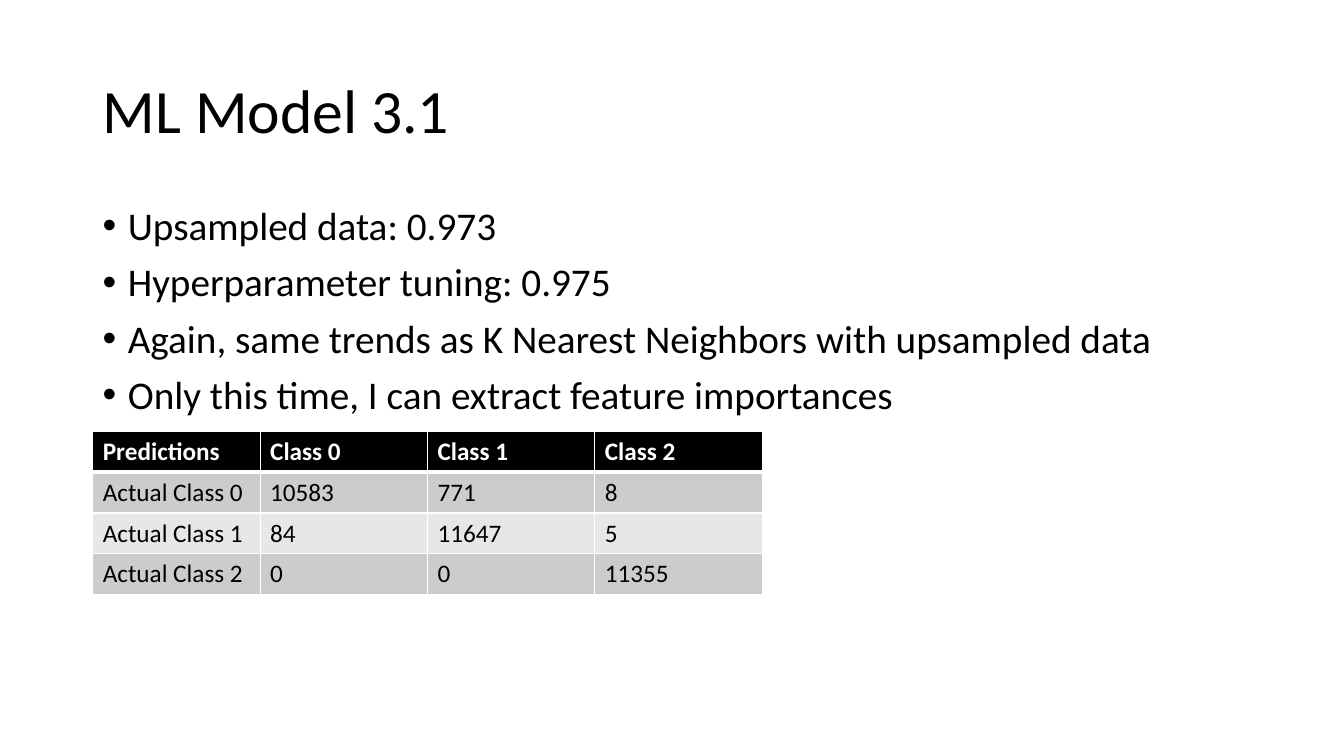
import pptx
import pptx.util
import pptx.dml.color
import pptx.enum.text
import pptx.oxml.ns
from dataclasses import dataclass
from lxml import etree
from pptx.util import Inches


@dataclass(frozen=True)
class Theme:
    font: str = "Calibri"
    ink: str = "000000"
    paper: str = "FFFFFF"
    bands: tuple = ("CCCCCC", "E7E7E7")
    title: int = 44
    body: int = 28
    cell: int = 18


THEME = Theme()
BULLETS = [
    "Upsampled data: 0.973",
    "Hyperparameter tuning: 0.975",
    "Again, same trends as K Nearest Neighbors with upsampled data",
    "Only this time, I can extract feature importances",
]
CONFUSION = [
    ["Predictions", "Class 0", "Class 1", "Class 2"],
    ["Actual Class 0", "10583", "771", "8"],
    ["Actual Class 1", "84", "11647", "5"],
    ["Actual Class 2", "0", "0", "11355"],
]


def rgb(color):
    return pptx.dml.color.RGBColor.from_string(color)


def add_child(parent, tag, **attrs):
    return etree.SubElement(parent, pptx.oxml.ns.qn(tag), **attrs)


def add_run(p, text, size, color=THEME.ink, bold=False):
    r = p.add_run()
    r.text = text
    r.font.name = THEME.font
    r.font.size = pptx.util.Pt(size)
    r.font.bold = bold
    r.font.color.rgb = rgb(color)


def add_text_frame(s, box):
    tf = s.shapes.add_textbox(*map(Inches, box)).text_frame
    tf.word_wrap = True
    return tf


def add_title(s, box, text):
    tf = add_text_frame(s, box)
    tf.vertical_anchor = pptx.enum.text.MSO_ANCHOR.MIDDLE
    p = tf.paragraphs[0]
    p.line_spacing = 0.9
    add_run(p, text, THEME.title)


def add_bullets(s, box, lines):
    tf = add_text_frame(s, box)
    for i, line in enumerate(lines):
        p = tf.add_paragraph() if i else tf.paragraphs[0]
        p.line_spacing = 0.9
        p.space_before = pptx.util.Pt(10)
        pPr = p._p.get_or_add_pPr()
        pPr.set("marL", str(Inches(0.25)))
        pPr.set("indent", str(-Inches(0.25)))
        add_child(pPr, "a:buFont", typeface="Arial")
        add_child(pPr, "a:buChar", char="\u2022")
        add_run(p, line, THEME.body)


def set_borders(cell, widths):
    tcPr = cell._tc.get_or_add_tcPr()
    for side, width in zip("LRTB", widths):
        ln = add_child(tcPr, f"a:ln{side}", w=str(pptx.util.Pt(width)))
        add_child(add_child(ln, "a:solidFill"), "a:srgbClr", val=THEME.paper)


def add_confusion_table(s, box, rows):
    table = s.shapes.add_table(len(rows), len(rows[0]), *map(Inches, box)).table
    for i, row in enumerate(rows):
        header = i == 0
        fill = THEME.ink if header else THEME.bands[(i - 1) % 2]
        color = THEME.paper if header else THEME.ink
        widths = (1, 1, 3 if i == 1 else 1, 3 if header else 1)
        for j, text in enumerate(row):
            cell = table.cell(i, j)
            set_borders(cell, widths)
            cell.fill.solid()
            cell.fill.fore_color.rgb = rgb(fill)
            add_run(cell.text_frame.paragraphs[0], text, THEME.cell, color, header)


def add_model_slide(prs, box):
    s = prs.slides.add_slide(prs.slide_layouts[6])
    left, top, width = box
    add_title(s, (left, top, width, 1.45), "ML Model 3.1")
    add_bullets(s, (left, top + 1.6, width, 2.28), BULLETS)
    add_confusion_table(s, (left, top + 3.88, 6.64, 1.62), CONFUSION)


prs = pptx.Presentation()
prs.slide_width = Inches(13.33)
prs.slide_height = Inches(7.5)
add_model_slide(prs, (0.92, 0.4, 11.5))
prs.save("out.pptx")
